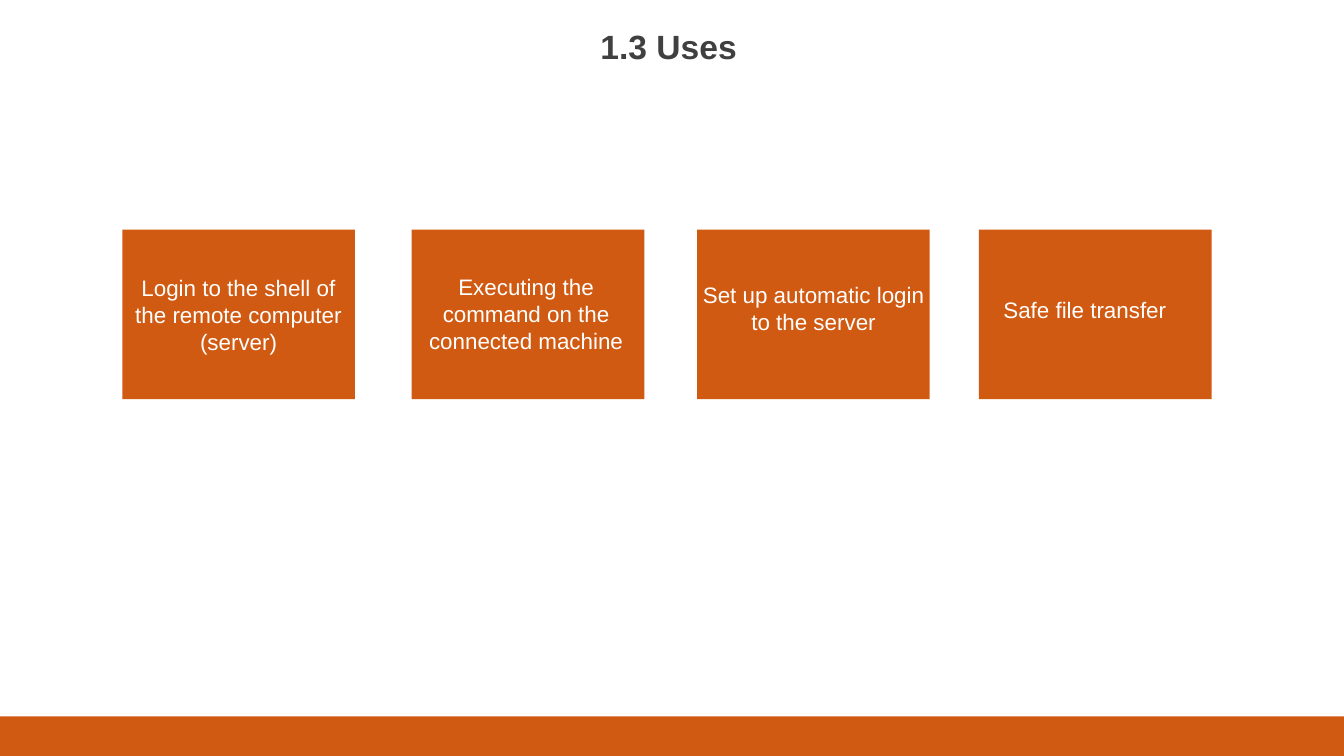
from pptx import Presentation
from pptx.dml.color import RGBColor
from pptx.enum.shapes import MSO_SHAPE
from pptx.enum.text import MSO_AUTO_SIZE, PP_ALIGN
from pptx.util import Pt

SLIDE_W, SLIDE_H = 720, 405
COLORS = {"background": "FFFFFF", "accent": "D15A12", "title": "404040", "label": "FFFFFF"}
FONT = "Arial"

TITLE = "1.3 Uses"
# Label, card left, then label left, top, width and height
USES = [
    ("Login to the shell of the remote computer (server)", 65.5, (64.8, 143.5, 126, 51)),
    ("Executing the command on the connected machine", 220.5, (219.6, 143, 124.6, 51)),
    ("Set up automatic login to the server", 373.4, (367.9, 147, 136, 36)),
    ("Safe file transfer", 524.4, (513.2, 155, 136, 21.6)),
]
CARD_TOP, CARD_W, CARD_H = 123, 124.7, 90.8
FOOTER_TOP = 383.8


def add_block(slide, left, top, width, height):
    block = slide.shapes.add_shape(
        MSO_SHAPE.RECTANGLE, Pt(left), Pt(top), Pt(width), Pt(height))
    block.shadow.inherit = False
    block.fill.solid()
    block.fill.fore_color.rgb = RGBColor.from_string(COLORS["accent"])
    block.line.fill.background()


def add_text(slide, text, area, size=12, color="label", bold=False, align=PP_ALIGN.CENTER):
    frame = slide.shapes.add_textbox(*(Pt(length) for length in area)).text_frame
    frame.word_wrap = True
    frame.auto_size = MSO_AUTO_SIZE.SHAPE_TO_FIT_TEXT
    paragraph = frame.paragraphs[0]
    paragraph.alignment = align
    run = paragraph.add_run()
    run.text = text
    run.font.name = FONT
    run.font.size = Pt(size)
    run.font.bold = bold
    run.font.color.rgb = RGBColor.from_string(COLORS[color])


def main():
    deck = Presentation()
    deck.slide_width, deck.slide_height = Pt(SLIDE_W), Pt(SLIDE_H)
    slide = deck.slides.add_slide(deck.slide_layouts[6])
    slide.background.fill.solid()
    slide.background.fill.fore_color.rgb = RGBColor.from_string(COLORS["background"])

    add_block(slide, 0, FOOTER_TOP, SLIDE_W, SLIDE_H - FOOTER_TOP)
    add_text(slide, TITLE, (314.6, 10.3, 96.5, 29), size=18, color="title",
             bold=True, align=PP_ALIGN.LEFT)
    for _, card_left, _ in USES:
        add_block(slide, card_left, CARD_TOP, CARD_W, CARD_H)
    for label, _, label_area in USES:
        add_text(slide, label, label_area)

    deck.save("out.pptx")


if __name__ == "__main__":
    main()
